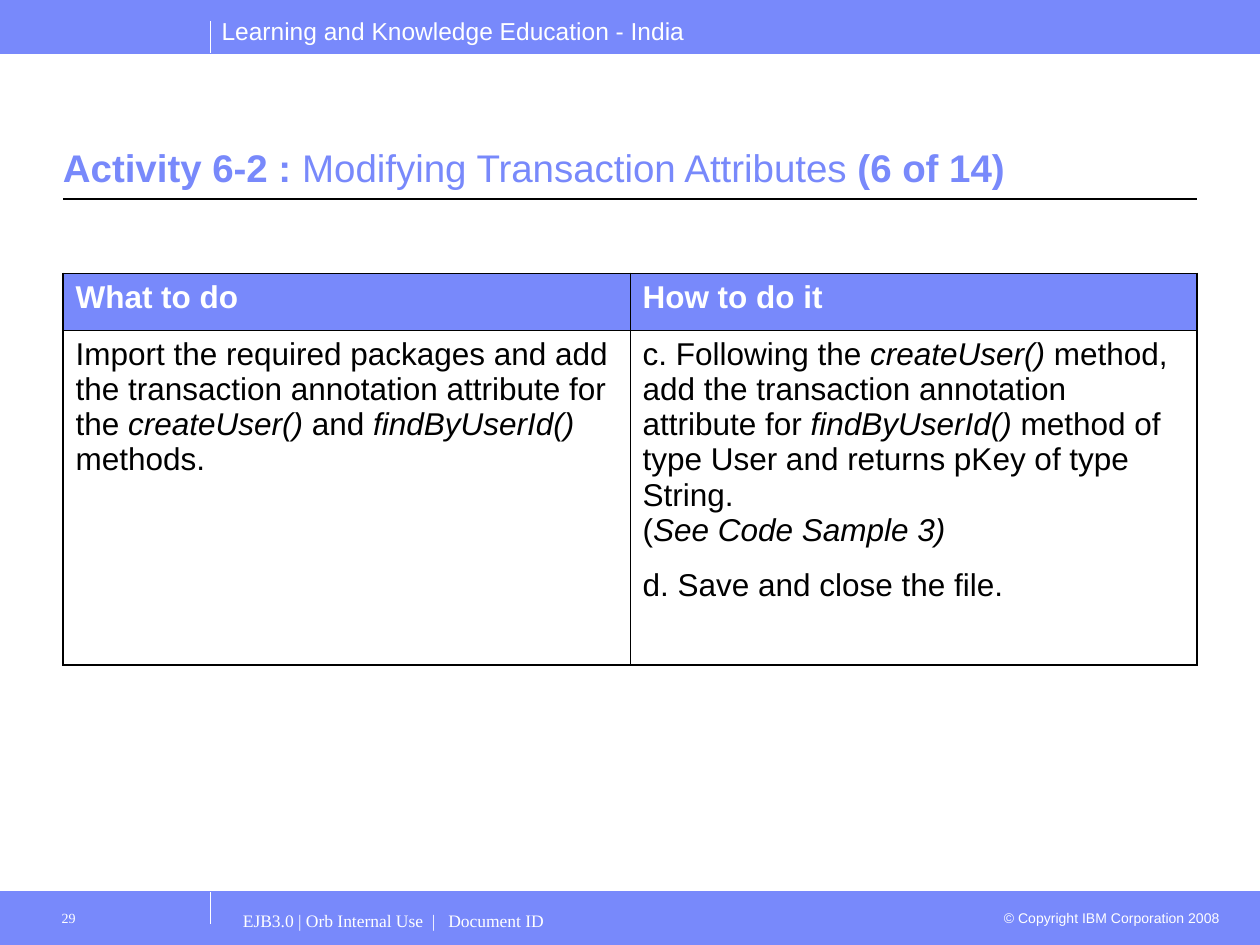
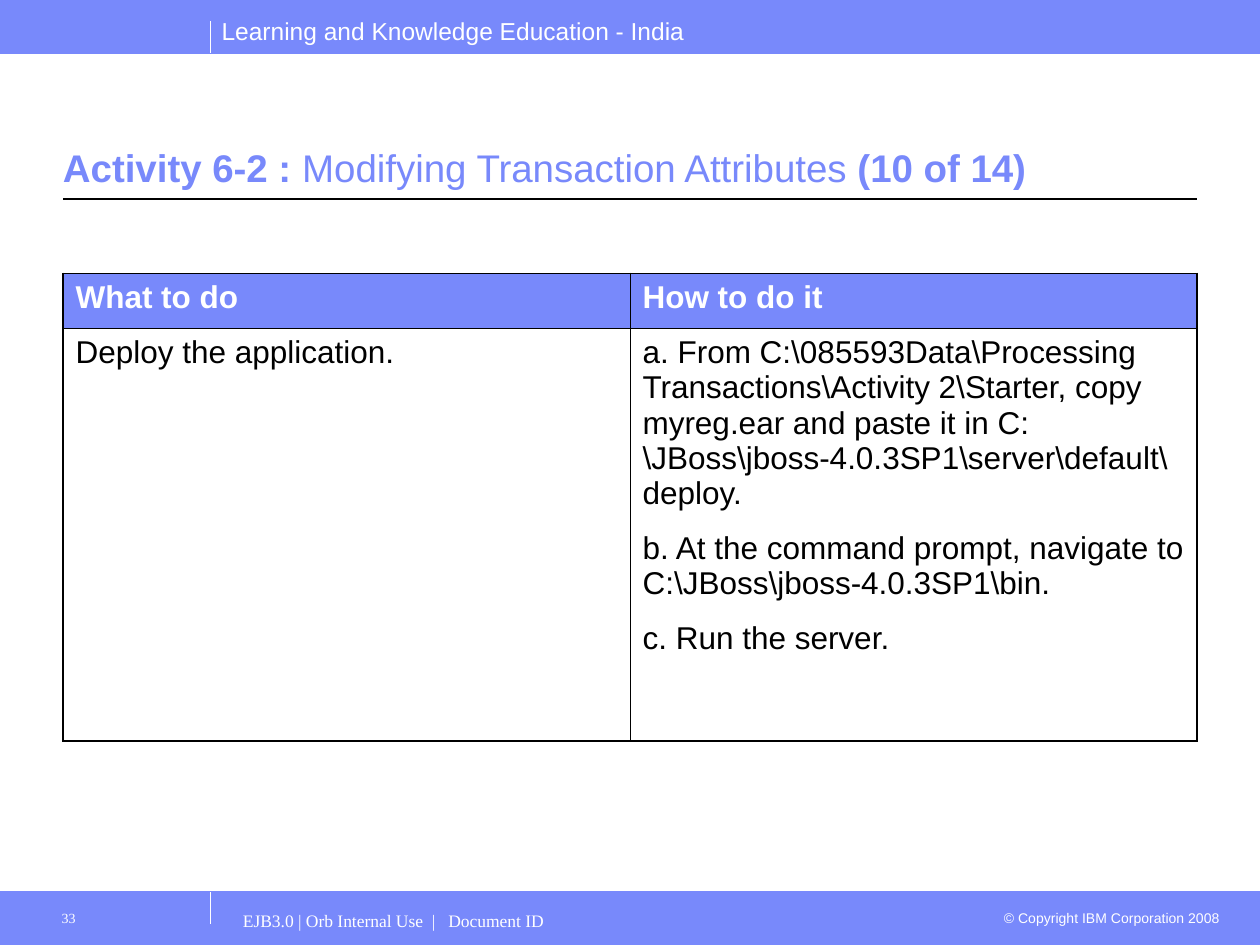
"""Build two activity slides with shared bands, title style and task table."""
import dataclasses

import pptx
import pptx.dml.color
import pptx.enum.shapes
import pptx.enum.text
import pptx.oxml
import pptx.oxml.ns
import pptx.util
from pptx.util import Inches


@dataclasses.dataclass(frozen=True)
class Theme:
    accent: str = "7889FB"
    white: str = "FFFFFF"
    black: str = "000000"
    sans: str = "Arial"
    serif: str = "Times New Roman"
    title: float = 22
    body: float = 18
    header: float = 14
    footer: float = 10
    small: float = 8
    cell_gap: float = 11.2
    outer_border: float = 1.08
    inner_border: float = 0.45


theme = Theme()
rgb = pptx.dml.color.RGBColor.from_string
LEFT, RIGHT = pptx.enum.text.PP_ALIGN.LEFT, pptx.enum.text.PP_ALIGN.RIGHT
TOP, BOTTOM = pptx.enum.text.MSO_ANCHOR.TOP, pptx.enum.text.MSO_ANCHOR.BOTTOM


def write(paragraph, text, size, color, font=theme.sans, emphasis="bold"):
    """Write text, giving the parts between asterisks the emphasis."""
    for part, piece in enumerate(text.split("*")):
        for row, line in enumerate(piece.split("\n")):
            if row:
                paragraph.add_line_break()
            if line:
                run = paragraph.add_run()
                run.text = line
                run.font.name = font
                run.font.size = pptx.util.Pt(size)
                run.font.color.rgb = rgb(color)
                setattr(run.font, emphasis, part % 2 == 1)


def add_label(slide, box, insets, text, size, color, font=theme.sans, align=LEFT, anchor=TOP):
    """Add a wrapped one-paragraph text box; insets are left, top, right."""
    frame = slide.shapes.add_textbox(*map(Inches, box)).text_frame
    frame.word_wrap = True
    frame.vertical_anchor = anchor
    frame.margin_left, frame.margin_top, frame.margin_right = map(Inches, insets)
    frame.paragraphs[0].alignment = align
    write(frame.paragraphs[0], text, size, color, font)


activities = [
    {
        "page": "29",
        "step": "6 of 14",
        "rows": (0.45, 2.66),
        "what": ["Import the required packages and add the transaction annotation attribute "
                 "for the *createUser()* and *findByUserId()* methods."],
        "how": ["c. Following the *createUser()* method, add the transaction annotation "
                "attribute for *findByUserId()* method of type User and returns pKey of "
                "type String. \n(*See Code Sample 3)*",
                "d. Save and close the file."],
    },
    {
        "page": "33",
        "step": "10 of 14",
        "rows": (0.44, 3.27),
        "what": ["Deploy the application."],
        "how": [r"a. From C:\085593Data\Processing Transactions\Activity 2\Starter, copy "
                r"myreg.ear and paste it in C:\JBoss\jboss-4.0.3SP1\server\default\deploy.",
                r"b. At the command prompt, navigate to C:\JBoss\jboss-4.0.3SP1\bin.",
                "c. Run the server."],
    },
]
band_height = 0.42
band_tops = (7.08, 0)
rules = [
    ((1.67, 7.33, 1.67, 7.08), theme.white),
    ((0.5, 1.58, 9.5, 1.58), theme.black),
    ((1.67, 0.42, 1.67, 0.17), theme.white),
]

deck = pptx.Presentation()
deck.slide_width, deck.slide_height = Inches(10), Inches(7.5)

for activity in activities:
    slide = deck.slides.add_slide(deck.slide_layouts[6])

    for top in band_tops:
        band = slide.shapes.add_shape(
            pptx.enum.shapes.MSO_SHAPE.RECTANGLE, 0, Inches(top), Inches(10), Inches(band_height))
        band.shadow.inherit = False
        band.fill.solid()
        band.fill.fore_color.rgb = rgb(theme.accent)
        band.line.color.rgb = rgb(theme.accent)
        band.line.width = pptx.util.Pt(0.75)

    for ends, color in rules:
        rule = slide.shapes.add_connector(
            pptx.enum.shapes.MSO_CONNECTOR.STRAIGHT, *map(Inches, ends))
        rule.line.color.rgb = rgb(color)
        rule.line.width = pptx.util.Pt(0.75)
        rule._element.spPr.append(pptx.oxml.parse_xml(
            f'<a:effectLst {pptx.oxml.ns.nsdecls("a")}/>'))

    add_label(slide, (1.66, 0.08, 3.95, 0.34), (0.1, 0.05, 0.1),
              "Learning and Knowledge Education - India", theme.header, theme.white)
    add_label(slide, (7.83, 7.17, 1.95, 0.24), (0.1, 0.05, 0.1),
              "© Copyright IBM Corporation 2008", theme.small, theme.white, align=RIGHT)
    add_label(slide, (0.5, 0.64, 9, 0.92), (0, 0.05, 0),
              f"*Activity 6-2 : *Modifying Transaction Attributes* ({activity['step']})*",
              theme.title, theme.accent, anchor=BOTTOM)

    heights = activity["rows"]
    tasks = slide.shapes.add_table(
        2, 2, Inches(0.5), Inches(2.17), Inches(9), Inches(sum(heights))).table
    tasks.first_row = tasks.horz_banding = False
    contents = [[["*What to do*"], ["*How to do it*"]], [activity["what"], activity["how"]]]
    for r, height in enumerate(heights):
        tasks.rows[r].height = Inches(height)
        for c, paragraphs in enumerate(contents[r]):
            cell = tasks.cell(r, c)
            properties = cell._tc.get_or_add_tcPr()
            for side, is_outer in (("L", c == 0), ("R", c == 1), ("T", r == 0), ("B", r == 1)):
                width = pptx.util.Pt(theme.outer_border if is_outer else theme.inner_border)
                properties.append(pptx.oxml.parse_xml(
                    f'<a:ln{side} {pptx.oxml.ns.nsdecls("a")} w="{width}"><a:solidFill>'
                    f'<a:srgbClr val="{theme.black}"/></a:solidFill></a:ln{side}>'))
            cell.fill.solid()
            cell.fill.fore_color.rgb = rgb(theme.white if r else theme.accent)
            for index, text in enumerate(paragraphs):
                frame = cell.text_frame
                paragraph = frame.add_paragraph() if index else frame.paragraphs[0]
                paragraph.space_after = pptx.util.Pt(theme.cell_gap)
                write(paragraph, text, theme.body, theme.black if r else theme.white,
                      emphasis="italic" if r else "bold")

    add_label(slide, (1.83, 7.15, 6, 0.35), (0.1, 0.07, 0.1),
              "EJB3.0 | Orb Internal Use  |   Document ID",
              theme.footer, theme.white, theme.serif)
    add_label(slide, (0.33, 7.15, 1.33, 0.35), (0.16, 0.07, 0.1),
              activity["page"], theme.small, theme.white, theme.serif)

deck.save("out.pptx")
